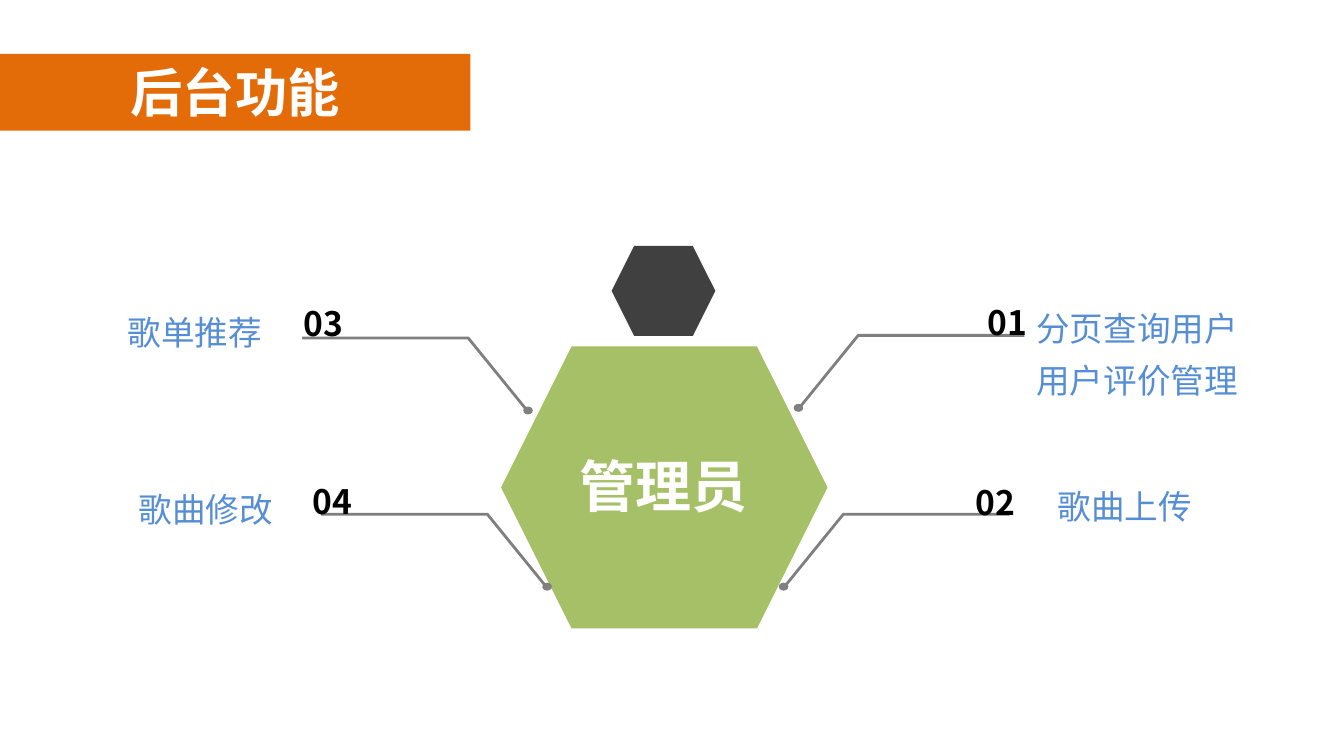
from dataclasses import dataclass

from pptx import Presentation
from pptx.dml.color import RGBColor
from pptx.enum.shapes import MSO_SHAPE
from pptx.enum.text import MSO_ANCHOR, MSO_AUTO_SIZE, PP_ALIGN
from pptx.util import Cm, Pt


@dataclass(frozen=True)
class Theme:
    banner: str = "E36C09"
    hexagon: str = "A5C067"
    head: str = "404040"
    dot: str = "808080"
    line: str = "7F7F7F"
    white: str = "FFFFFF"
    number: str = "000000"
    feature: str = "558ED5"
    heading_font: str = "Calibri"
    body_font: str = "Noto Sans CJK SC"
    title_size: int = 28
    role_size: int = 30
    body_size: int = 18
    line_width: float = 1.5


@dataclass(frozen=True)
class Box:
    """A rectangle in centimetres."""
    left: float
    top: float
    width: float
    height: float

    def emu(self):
        return Cm(self.left), Cm(self.top), Cm(self.width), Cm(self.height)


@dataclass(frozen=True)
class Feature:
    number: str
    text: str
    side: int  # 1 right of the hexagon, -1 left
    tip: tuple[float, float]
    number_at: tuple[float, float]
    text_box: Box


THEME = Theme()
NUMBER_SIZE = (1.3, 1.24)
DOT_SIZE = (0.18, 0.15)
DOT_SHIFT = (0.05, 0.04)
ELBOW = (1.08, 1.33)
RUN = 3.14

FEATURES = [
    Feature("01", "分页查询用户\n用户评价管理", 1, (15.14, 7.67), (18.39, 5.36),
            Box(19.28, 5.46, 4.42, 2.26)),
    Feature("02", "歌曲上传", 1, (14.86, 11.05), (18.16, 8.76),
            Box(19.05, 8.84, 4.42, 1.17)),
    Feature("03", "歌单推荐", -1, (9.93, 7.72), (5.46, 5.38),
            Box(1.47, 5.54, 4.42, 1.24)),
    Feature("04", "歌曲修改", -1, (10.29, 11.05), (5.64, 8.74),
            Box(1.68, 8.89, 4.42, 1.24)),
]


def write(sp, text: str, font: str, size: int, color: str,
          bold: bool = False, spacing: float = 1.0, wrap: bool = True) -> None:
    tf = sp.text_frame
    tf.text = text
    tf.word_wrap = wrap
    tf.auto_size = MSO_AUTO_SIZE.NONE
    tf.vertical_anchor = MSO_ANCHOR.TOP
    for p in tf.paragraphs:
        p.alignment = PP_ALIGN.CENTER
        p.line_spacing = spacing
        for r in p.runs:
            r.font.name = font
            r.font.size = Pt(size)
            r.font.bold = bold
            r.font.color.rgb = RGBColor.from_string(color)


def paint(sp, color: str) -> None:
    sp.fill.solid()
    sp.fill.fore_color.rgb = RGBColor.from_string(color)


def add_solid(shapes, kind: MSO_SHAPE, box: Box, color: str) -> None:
    sp = shapes.add_shape(kind, *box.emu())
    sp.shadow.inherit = False
    sp.line.fill.background()
    paint(sp, color)


def add_leader(shapes, feature: Feature) -> None:
    """Draw the dot at the hexagon and the bent line out to the number."""
    group = shapes.add_group_shape().shapes
    x, y = feature.tip
    w, h = DOT_SIZE
    dot = Box(x - feature.side * DOT_SHIFT[0] - w / 2, y + DOT_SHIFT[1] - h / 2, w, h)
    add_solid(group, MSO_SHAPE.OVAL, dot, THEME.dot)

    elbow_x = x + feature.side * ELBOW[0]
    end_x = elbow_x + feature.side * RUN
    level = Cm(y - ELBOW[1])
    builder = group.build_freeform(Cm(x), Cm(y))
    builder.add_line_segments([(Cm(elbow_x), level), (Cm(end_x), level)], close=False)
    sp = builder.convert_to_shape()
    sp.shadow.inherit = False
    sp.fill.background()
    sp.line.color.rgb = RGBColor.from_string(THEME.line)
    sp.line.width = Pt(THEME.line_width)


def add_feature_text(shapes, feature: Feature) -> None:
    sp = shapes.add_textbox(*feature.text_box.emu())
    write(sp, feature.text, THEME.body_font, THEME.body_size, THEME.feature, spacing=1.3)
    sp = shapes.add_textbox(*Box(*feature.number_at, *NUMBER_SIZE).emu())
    write(sp, feature.number, THEME.body_font, THEME.body_size, THEME.number,
          bold=True, spacing=1.3)


def main() -> None:
    prs = Presentation()
    prs.slide_width, prs.slide_height = Cm(25.4), Cm(14.29)
    s = prs.slides.add_slide(prs.slide_layouts[5])
    shapes = s.shapes

    title = shapes.title
    title.left, title.top, title.width, title.height = Box(0, 1.02, 8.89, 1.45).emu()
    paint(title, THEME.banner)
    write(title, "后台功能", THEME.heading_font, THEME.title_size, THEME.white, bold=True)

    add_solid(shapes, MSO_SHAPE.HEXAGON, Box(9.47, 6.55, 6.17, 5.33), THEME.hexagon)
    add_solid(shapes, MSO_SHAPE.HEXAGON, Box(11.56, 4.65, 1.96, 1.7), THEME.head)
    for feature in FEATURES:
        add_leader(shapes, feature)

    role = shapes.add_textbox(*Box(10.67, 8.41, 3.73, 1.55).emu())
    write(role, "管理员", THEME.heading_font, THEME.role_size, THEME.white,
          bold=True, wrap=False)
    for feature in FEATURES:
        add_feature_text(shapes, feature)

    prs.save("out.pptx")


if __name__ == "__main__":
    main()
